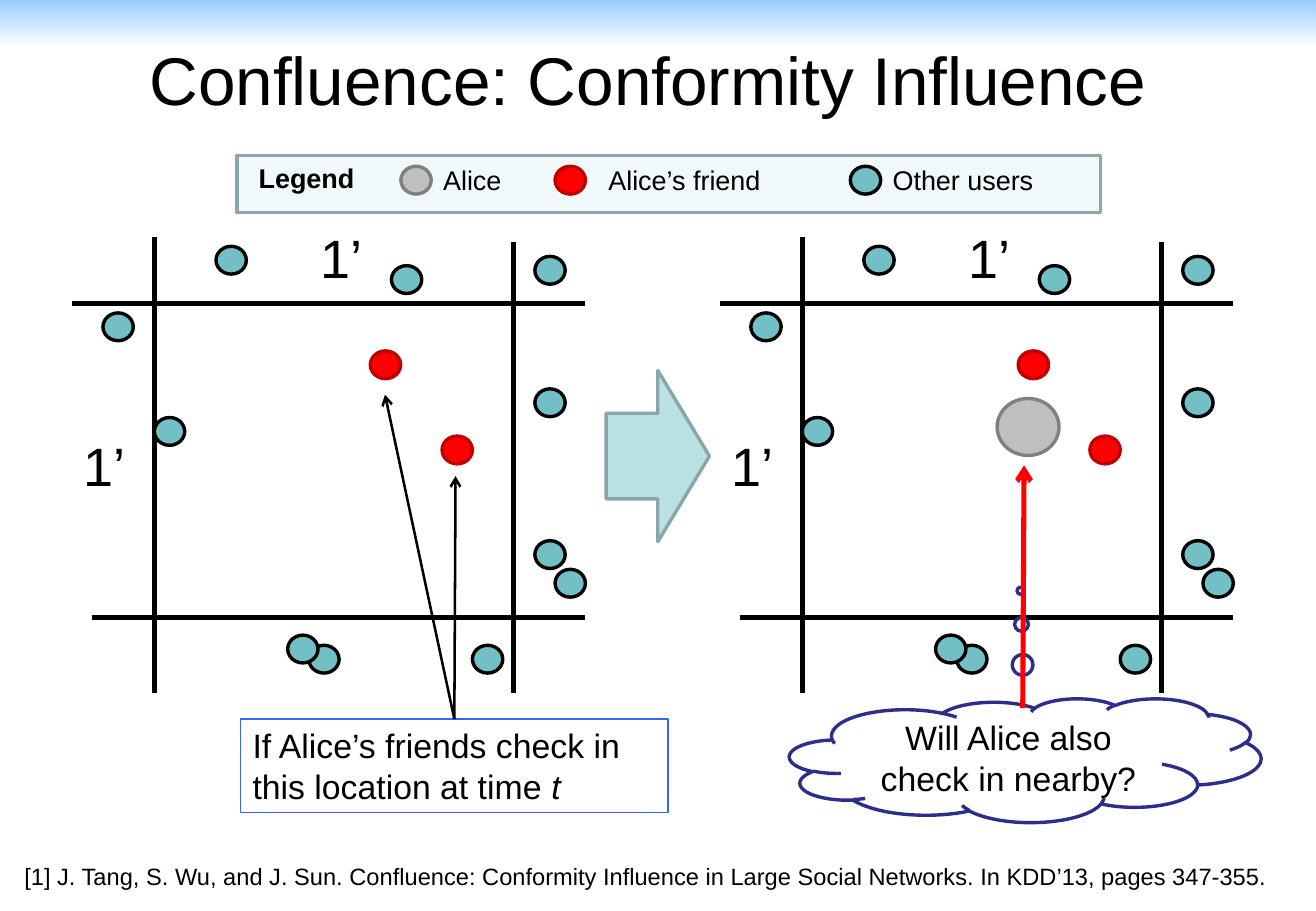
import lxml.etree
import pptx
import pptx.dml.color
import pptx.enum.shapes
import pptx.enum.text
import pptx.oxml.ns
import pptx.util

Pt = pptx.util.Pt
qn = pptx.oxml.ns.qn
SHAPES = pptx.enum.shapes.MSO_SHAPE
ALIGN = pptx.enum.text.PP_ALIGN
ANCHOR = pptx.enum.text.MSO_ANCHOR

FONT = "Arial"
DOT_SIZE = (18, 16.5)
PANEL_OFFSET = 384
ALICE = ("BFBFBF", "808080")
FRIEND = ("FF0000", "C00000")
OTHER = ("72BFC5", "000000")

# Positions inside the left map; the right map is shifted by PANEL_OFFSET
STREETS = [(42.5, 180, 347, 180), (54.5, 365.8, 347, 365.8),
           (91.5, 140.5, 91.5, 410.5), (304.5, 143.5, 304.5, 410.5)]
DISTANCES = [(183, 129.6, 54.7), (42.5, 252.7, 49)]
FRIENDS = [(219.5, 208), (262, 258.5)]
OTHERS = [(128, 146), (317, 230.5), (329, 337.5), (317, 320.5),
          (183, 382.5), (170.5, 376.5), (91.5, 247.5), (61, 185.5),
          (280, 382.5), (317, 152), (232, 157.5)]


def color(hex_value):
    return pptx.dml.color.RGBColor.from_string(hex_value)


def add_xml(parent, tag, **attributes):
    lxml.etree.SubElement(parent, qn(tag), attributes)


def write(shape, runs, size, align=ALIGN.LEFT, anchor=ANCHOR.TOP):
    """Fill a shape with one paragraph; runs are (text, bold, italic)."""
    frame = shape.text_frame
    frame.word_wrap = True
    frame.vertical_anchor = anchor
    paragraph = frame.paragraphs[0]
    paragraph.alignment = align
    for text, bold, italic in runs:
        run = paragraph.add_run()
        run.text = text
        run.font.name = FONT
        run.font.size = Pt(size)
        run.font.bold = bold
        run.font.italic = italic
        run.font.color.rgb = color("000000")


def add_label(slide, text, left, top, width, height, size, bold=False):
    box = slide.shapes.add_textbox(Pt(left), Pt(top), Pt(width), Pt(height))
    write(box, [(text, bold, False)], size)


def add_shape(slide, kind, left, top, width, height, fill, outline, weight=2):
    shape = slide.shapes.add_shape(kind, Pt(left), Pt(top), Pt(width), Pt(height))
    shape.shadow.inherit = False
    if fill:
        shape.fill.solid()
        shape.fill.fore_color.rgb = color(fill)
    else:
        shape.fill.background()
    shape.line.color.rgb = color(outline)
    shape.line.width = Pt(weight)
    return shape


def add_user(slide, left, top, colors, size=DOT_SIZE):
    add_shape(slide, SHAPES.OVAL, left, top, *size, *colors)


def add_line(slide, x1, y1, x2, y2, weight, hex_value="000000", arrow=False):
    line = slide.shapes.add_connector(
        pptx.enum.shapes.MSO_CONNECTOR.STRAIGHT, Pt(x1), Pt(y1), Pt(x2), Pt(y2))
    line.line.color.rgb = color(hex_value)
    line.line.width = Pt(weight)
    properties = line._element.spPr
    if arrow:
        add_xml(properties.find(qn("a:ln")), "a:tailEnd", type="arrow")
    add_xml(properties, "a:effectLst")


def add_header(slide):
    band = slide.shapes.add_shape(SHAPES.RECTANGLE, 0, 0, Pt(780), Pt(28))
    band.shadow.inherit = False
    band.line.fill.background()
    band.fill.gradient()
    band.fill.gradient_angle = 270
    for stop, hex_value, position in zip(
            band.fill.gradient_stops, ("99CCFF", "FFFFFF"), (0, 1)):
        stop.color.rgb = color(hex_value)
        stop.position = position

    title = slide.shapes.title
    title.left, title.top = Pt(21.6), Pt(15.1)
    title.width, title.height = Pt(735.8), Pt(62.6)
    write(title, [("Confluence: Conformity Influence ", False, False)], 40,
          ALIGN.CENTER, ANCHOR.MIDDLE)


def add_legend(slide):
    frame = add_shape(slide, SHAPES.RECTANGLE, 140.4, 92.2, 512, 33.8,
                      "BBE0E3", "8AA6A8")
    fill_color = frame._element.spPr.find(".//" + qn("a:srgbClr"))
    add_xml(fill_color, "a:alpha", val="21000")
    add_label(slide, "Legend", 146.2, 92.2, 85, 26.6, 16, bold=True)
    for text, colors, dot_left, text_left, width in [
            ("Alice", ALICE, 237.6, 255.6, 67),
            ("Alice’s friend", FRIEND, 329, 353.5, 134),
            ("Other users", OTHER, 504, 522, 171)]:
        add_user(slide, dot_left, 98.6, colors)
        add_label(slide, text, text_left, 93.6, width, 26.6, 16)


def add_map(slide, offset):
    for x1, y1, x2, y2 in STREETS:
        add_line(slide, x1 + offset, y1, x2 + offset, y2, 3)
    for left, top, width in DISTANCES:
        add_label(slide, "1’", left + offset, top, width, 46, 32)
    for positions, colors in ((FRIENDS, FRIEND), (OTHERS, OTHER)):
        for left, top in positions:
            add_user(slide, left + offset, top, colors)


def add_callouts(slide):
    condition = add_shape(slide, SHAPES.RECTANGLE, 142.6, 426.2, 253.4, 55.4,
                          None, "3366FF", 0.75)
    write(condition, [("If Alice’s friends check in this location at time ", False, False),
                      ("t", False, True)], 20)
    add_shape(slide, SHAPES.RIGHT_ARROW, 359.3, 219.6, 61.2, 101.5,
              "BBE0E3", "8AA6A8")
    question = add_shape(slide, SHAPES.CLOUD_CALLOUT, 468, 414, 279.4, 73.4,
                         "FFFFFF", "2D2D8A")
    question.adjustments[0] = -0.01
    question.adjustments[1] = -1.37
    write(question, [("Will Alice also check in nearby?", False, False)], 20,
          ALIGN.CENTER, ANCHOR.MIDDLE)
    # Pointers to the friends and to Alice
    add_line(slide, 269.3, 426.2, 270, 282.2, 1.5, arrow=True)
    add_line(slide, 269.3, 426.2, 228.2, 234, 1.5, arrow=True)
    add_line(slide, 606.2, 419.8, 607, 275.8, 3, "FF0000", arrow=True)


def add_reference(slide):
    reference = add_shape(slide, SHAPES.RECTANGLE, 0, 498.2, 780, 41.8,
                          "FFFFFF", "FFFFFF", 0.75)
    reference.text_frame.margin_left = Pt(14.4)
    reference.text_frame.margin_right = Pt(14.4)
    write(reference, [("[1] J. Tang, S. Wu, and J. Sun. Confluence: Conformity Influence "
                       "in Large Social Networks. In KDD’13, pages 347-355.", False, False)],
          14, anchor=ANCHOR.MIDDLE)


def main():
    deck = pptx.Presentation()
    deck.slide_width, deck.slide_height = Pt(780), Pt(540)
    slide = deck.slides.add_slide(deck.slide_layouts[5])
    add_header(slide)
    add_legend(slide)
    # Before and after
    for offset in (0, PANEL_OFFSET):
        add_map(slide, offset)
    add_user(slide, 591, 236.2, ALICE, (36.7, 33.8))
    add_callouts(slide)
    add_reference(slide)
    deck.save("out.pptx")


if __name__ == "__main__":
    main()
